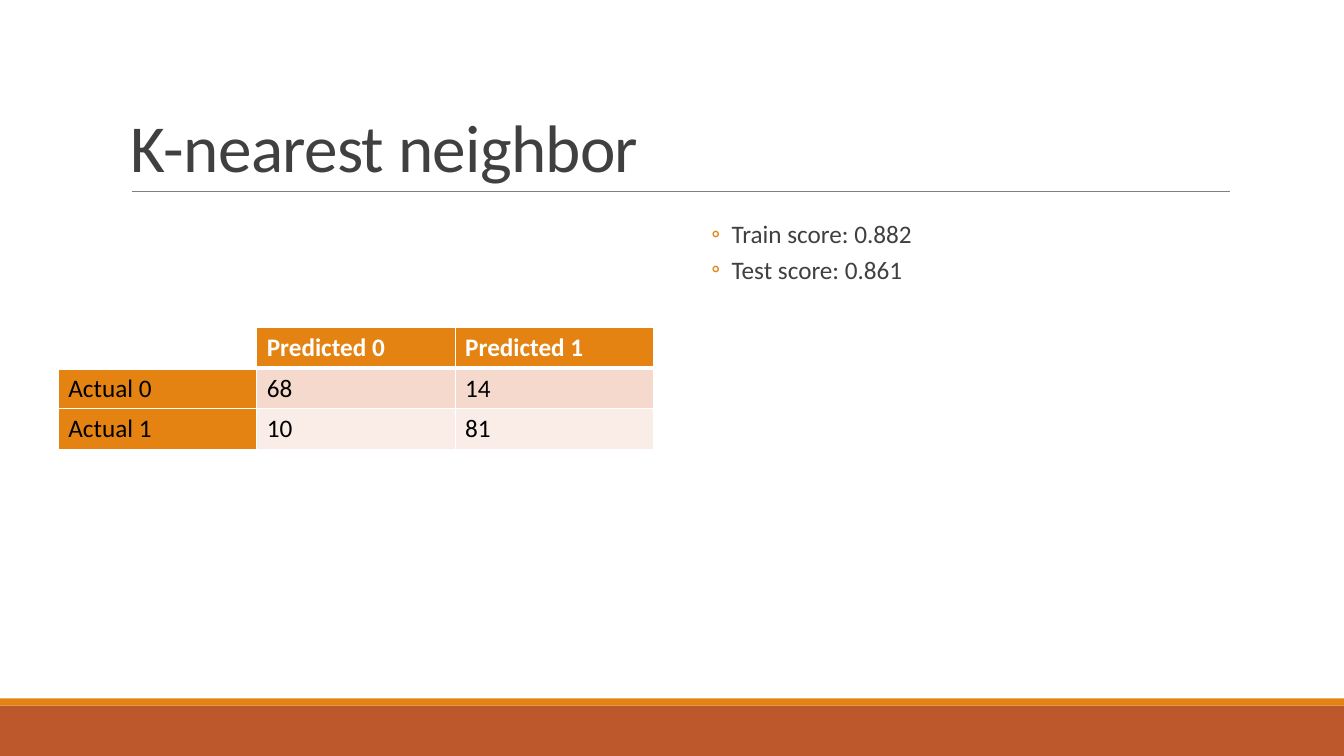
from dataclasses import dataclass

from lxml.etree import SubElement
from pptx import Presentation
from pptx.dml.color import RGBColor
from pptx.enum.shapes import MSO_CONNECTOR, MSO_SHAPE
from pptx.enum.text import MSO_ANCHOR
from pptx.oxml.ns import qn
from pptx.util import Cm, Pt


@dataclass(frozen=True)
class Theme:
    font: str = "Calibri"
    title_size: float = 48
    body_size: float = 18
    text: str = "404040"
    black: str = "000000"
    white: str = "FFFFFF"
    orange: str = "E48312"
    rust: str = "BD582C"
    rule: str = "808080"
    bands: tuple = ("F5D9CC", "FAEDE7")


def write(paragraph, text, *, font, size, color, bold=False, tracking=None):
    """Add one formatted run to a paragraph."""
    run = paragraph.add_run()
    run.text = text
    run.font.name = font
    run.font.size = Pt(size)
    run.font.bold = bold
    run.font.color.rgb = RGBColor.from_string(color)
    if tracking is not None:
        run.font._element.set("spc", str(int(tracking * 100)))


class SlideBuilder:
    def __init__(self, slide, theme):
        self.slide = slide
        self.theme = theme

    def bar(self, left, top, width, height, color):
        shape = self.slide.shapes.add_shape(
            MSO_SHAPE.RECTANGLE, Cm(left), Cm(top), Cm(width), Cm(height))
        shape.shadow.inherit = False
        shape.fill.solid()
        shape.fill.fore_color.rgb = RGBColor.from_string(color)
        shape.line.fill.background()

    def rule(self, left, right, top):
        line = self.slide.shapes.add_connector(
            MSO_CONNECTOR.STRAIGHT, Cm(left), Cm(top), Cm(right), Cm(top))
        line.line.color.rgb = RGBColor.from_string(self.theme.rule)
        line.line.width = Pt(0.5)
        SubElement(line._element.spPr, qn("a:effectLst"))

    def text_frame(self, left, top, width, height, anchor):
        box = self.slide.shapes.add_textbox(Cm(left), Cm(top), Cm(width), Cm(height))
        frame = box.text_frame
        frame.word_wrap = True
        frame.vertical_anchor = anchor
        return frame

    def title(self, text, left, top, width, height):
        frame = self.text_frame(left, top, width, height, MSO_ANCHOR.BOTTOM)
        paragraph = frame.paragraphs[0]
        paragraph.line_spacing = 0.85
        write(paragraph, text, font=self.theme.font, size=self.theme.title_size,
              color=self.theme.text, tracking=-0.5)

    def bullets(self, items, left, top, width, height):
        frame = self.text_frame(left, top, width, height, MSO_ANCHOR.TOP)
        frame.margin_left = frame.margin_right = 0
        for index, item in enumerate(items):
            paragraph = frame.add_paragraph() if index else frame.paragraphs[0]
            properties = paragraph._p.get_or_add_pPr()
            properties.set("marL", str(Cm(1.07)))
            properties.set("indent", str(Cm(-0.51)))
            bullet_color = SubElement(properties, qn("a:buClr"))
            SubElement(bullet_color, qn("a:srgbClr"), val=self.theme.orange)
            SubElement(properties, qn("a:buFont"), typeface=self.theme.font)
            SubElement(properties, qn("a:buChar"), char="◦")
            paragraph.line_spacing = 0.9
            paragraph.space_after = Pt(4)
            if index:
                paragraph.space_before = Pt(2)
            write(paragraph, item, font=self.theme.font,
                  size=self.theme.body_size, color=self.theme.text)

    def borders(self, cell, **widths):
        properties = cell._tc.get_or_add_tcPr()
        for side in "LRTB":
            line = SubElement(properties, qn(f"a:ln{side}"),
                              w=str(Pt(widths.get(side, 1))))
            fill = SubElement(line, qn("a:solidFill"))
            SubElement(fill, qn("a:srgbClr"), val=self.theme.white)

    def confusion_matrix(self, rows, left, top, column_width, row_height):
        theme = self.theme
        row_count, column_count = len(rows), len(rows[0])
        table = self.slide.shapes.add_table(
            row_count, column_count, Cm(left), Cm(top),
            Cm(column_width * column_count), Cm(row_height * row_count)).table
        table.horz_banding = False
        for column in table.columns:
            column.width = Cm(column_width)
        for r, values in enumerate(rows):
            table.rows[r].height = Cm(row_height)
            for c, value in enumerate(values):
                cell = table.cell(r, c)
                # The heavy rule lies between the header and the first data row
                self.borders(cell, T=3 if r == 1 else 1, B=3 if r == 0 else 1)
                if not value:
                    color = theme.white
                elif r == 0 or c == 0:
                    color = theme.orange
                else:
                    color = theme.bands[(r - 1) % 2]
                cell.fill.solid()
                cell.fill.fore_color.rgb = RGBColor.from_string(color)
                if value:
                    write(cell.text_frame.paragraphs[0], value, font=theme.font,
                          size=theme.body_size, bold=r == 0,
                          color=theme.white if r == 0 else theme.black)


def main():
    presentation = Presentation()
    presentation.slide_width = Cm(33.87)
    presentation.slide_height = Cm(19.05)
    theme = Theme()
    slide = presentation.slides.add_slide(presentation.slide_layouts[6])
    builder = SlideBuilder(slide, theme)

    # Footer bars and title rule
    builder.bar(0, 17.78, 33.87, 1.27, theme.rust)
    builder.bar(0, 17.6, 33.87, 0.18, theme.orange)
    builder.rule(3.32, 31, 4.82)

    # Title and scores
    builder.title("K-nearest neighbor", 3.05, 0.79, 27.94, 4.03)
    builder.bullets(["Train score: 0.882", "Test score: 0.861"],
                    17.37, 5.46, 13.61, 11.18)

    # Confusion matrix
    builder.confusion_matrix([
        ["", "Predicted 0", "Predicted 1"],
        ["Actual 0", "68", "14"],
        ["Actual 1", "10", "81"],
    ], 1.47, 8.26, 5.0, 1.02)

    presentation.save("out.pptx")


if __name__ == "__main__":
    main()
